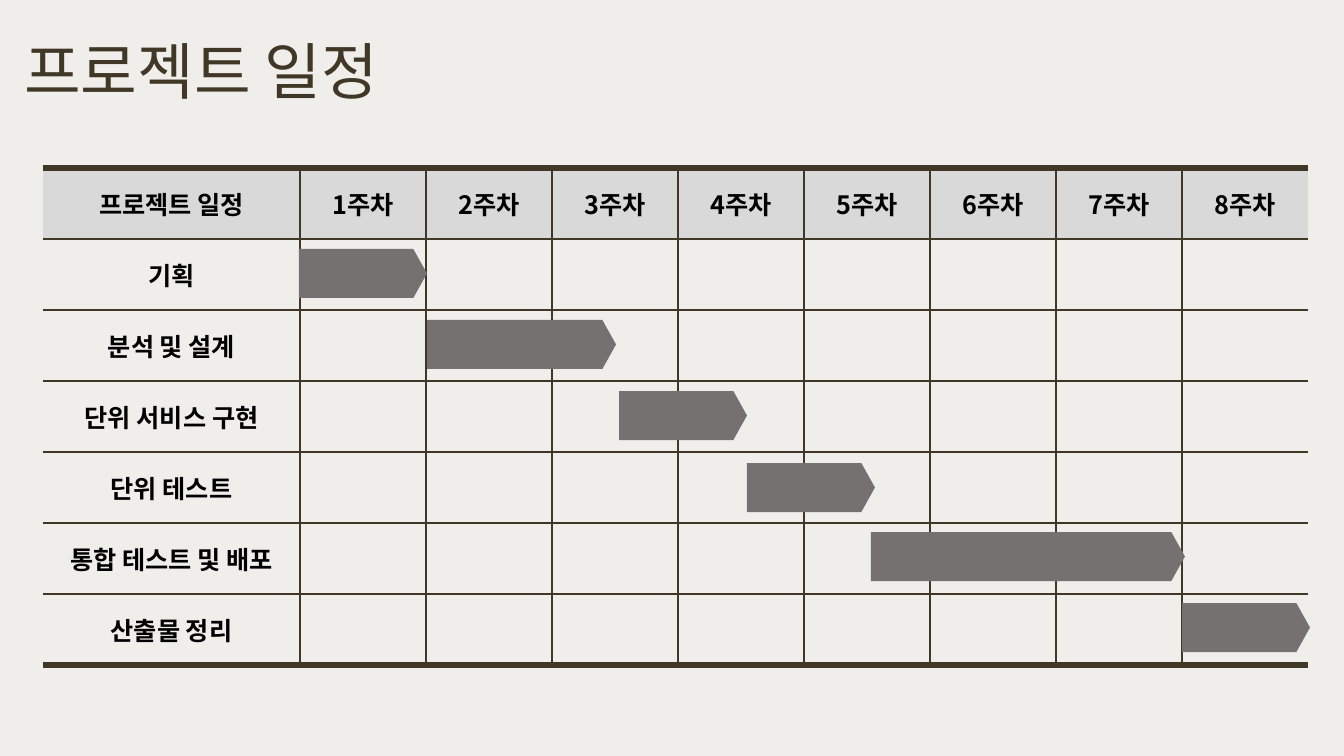
from lxml import etree
from pptx import Presentation
from pptx.dml.color import RGBColor
from pptx.enum.shapes import MSO_SHAPE
from pptx.enum.text import MSO_ANCHOR, PP_ALIGN
from pptx.oxml.ns import qn
from pptx.util import Emu, Pt

PENTAGON = MSO_SHAPE.PENTAGON
MIDDLE = MSO_ANCHOR.MIDDLE
CENTER = PP_ALIGN.CENTER

SLIDE_W, SLIDE_H = 1344, 756
EMU_PER_PX = 12192000 / SLIDE_W
FONT = "Noto Sans CJK KR"

PAPER = RGBColor(0xEF, 0xEE, 0xEB)
BROWN = RGBColor(0x40, 0x37, 0x26)
BLACK = RGBColor(0x00, 0x00, 0x00)
HEADER_GRAY = RGBColor(0xD9, 0xD9, 0xD9)
BAR_GRAY = RGBColor(0x76, 0x71, 0x71)

THIN, THICK = 1, 4.5
TABLE_LEFT, TABLE_TOP = 43, 168
TASK_W, WEEK_W, ROW_H = 257, 126, 71
WEEKS = 8
BAR_H = 49
BAR_POINT = 0.278

# Task name, then left, top and width of its bar
TASKS = [
    ("기획", 299, 249, 128),
    ("분석 및 설계", 427, 320, 189),
    ("단위 서비스 구현", 619, 391, 128),
    ("단위 테스트", 747, 463, 128),
    ("통합 테스트 및 배포", 871, 532, 314),
    ("산출물 정리", 1182, 603, 128),
]


def px(length):
    return Emu(round(length * EMU_PER_PX))


def add_run(paragraph, text, size, color, bold=False):
    run = paragraph.add_run()
    run.text = text
    font = run.font
    font.name, font.size, font.bold = FONT, Pt(size), bold
    font.color.rgb = color
    east_asian = etree.SubElement(run._r.get_or_add_rPr(), qn("a:ea"))
    east_asian.set("typeface", FONT)


def add_title(slide, text):
    title = slide.shapes.add_textbox(px(0), px(2), px(1159), px(146))
    frame = title.text_frame
    frame.word_wrap = True
    frame.vertical_anchor = MIDDLE
    frame.margin_left = px(24)
    paragraph = frame.paragraphs[0]
    paragraph.line_spacing = 0.9
    add_run(paragraph, text, 44, BROWN)


def set_border(cell, side, width):
    """Draw one cell edge; a width of 0 leaves it open."""
    edge = etree.SubElement(cell._tc.get_or_add_tcPr(), qn(f"a:ln{side}"))
    edge.set("w", str(Pt(width)))
    if width:
        fill = etree.SubElement(edge, qn("a:solidFill"))
        etree.SubElement(fill, qn("a:srgbClr")).set("val", str(BROWN))
    else:
        etree.SubElement(edge, qn("a:noFill"))


def style_cell(cell, row, column):
    set_border(cell, "L", THIN if column > 0 else 0)
    set_border(cell, "R", THIN if column < WEEKS else 0)
    set_border(cell, "T", THICK if row == 0 else THIN)
    set_border(cell, "B", THICK if row == len(TASKS) else THIN)
    if row == 0:
        cell.fill.solid()
        cell.fill.fore_color.rgb = HEADER_GRAY
    else:
        cell.fill.background()
    cell.vertical_anchor = MIDDLE


def add_schedule(slide):
    header = ["프로젝트 일정"] + [f"{week}주차" for week in range(1, WEEKS + 1)]
    rows = [header] + [[task[0]] + [""] * WEEKS for task in TASKS]
    schedule = slide.shapes.add_table(
        len(rows), len(header), px(TABLE_LEFT), px(TABLE_TOP),
        px(TASK_W + WEEKS * WEEK_W), px(len(rows) * ROW_H)).table
    schedule.first_row = schedule.horz_banding = False
    for index, column in enumerate(schedule.columns):
        column.width = px(WEEK_W if index else TASK_W)
    for row, labels in enumerate(rows):
        schedule.rows[row].height = px(ROW_H)
        for column, label in enumerate(labels):
            cell = schedule.cell(row, column)
            style_cell(cell, row, column)
            if label:
                paragraph = cell.text_frame.paragraphs[0]
                paragraph.alignment = CENTER
                add_run(paragraph, label, 18, BLACK, bold=True)


def add_bar(slide, left, top, width):
    bar = slide.shapes.add_shape(PENTAGON, px(left), px(top), px(width), px(BAR_H))
    bar.adjustments[0] = BAR_POINT
    bar.shadow.inherit = False
    bar.fill.solid()
    bar.fill.fore_color.rgb = BAR_GRAY
    bar.line.fill.background()


def main():
    deck = Presentation()
    deck.slide_width, deck.slide_height = px(SLIDE_W), px(SLIDE_H)
    slide = deck.slides.add_slide(deck.slide_layouts[6])
    slide.background.fill.solid()
    slide.background.fill.fore_color.rgb = PAPER
    add_title(slide, "프로젝트 일정")
    add_schedule(slide)
    for _, left, top, width in TASKS:
        add_bar(slide, left, top, width)
    deck.save("out.pptx")


if __name__ == "__main__":
    main()
